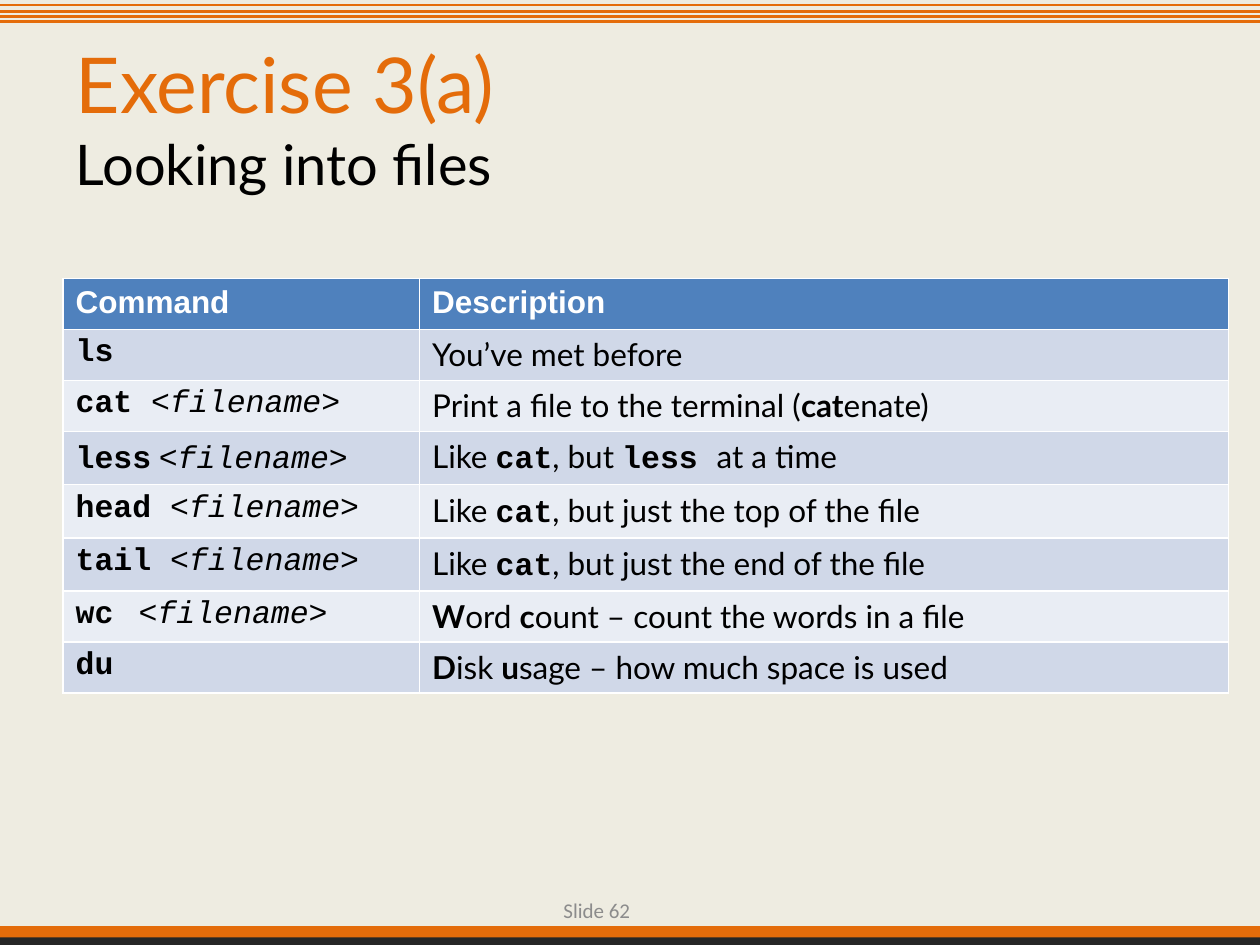
from lxml.etree import SubElement
from pptx import Presentation
from pptx.dml.color import RGBColor
from pptx.enum.shapes import MSO_CONNECTOR, MSO_SHAPE
from pptx.enum.text import MSO_ANCHOR, PP_ALIGN
from pptx.oxml.ns import qn
from pptx.util import Inches, Pt

COLORS = {
    "background": "EEECE1",
    "orange": "E46C0A",
    "charcoal": "262626",
    "black": "000000",
    "white": "FFFFFF",
    "header": "4F81BD",
    "odd_row": "D0D8E8",
    "even_row": "E9EDF4",
    "slide_number": "8C8C8C",
}

FONT_STYLES = {
    "header": ("Arial", True, False),
    "text": ("Lato", False, False),
    "strong": ("Lato", True, False),
    "code": ("Courier New", True, False),
    "argument": ("Courier New", False, True),
}

FILENAME = ("<filename>", "argument")
LIKE_CAT = [("Like ", "text"), ("cat", "code")]

TABLE_ROWS = [
    ([("Command", "header")], [("Description", "header")]),
    ([("ls", "code")], [("You’ve met before", "text")]),
    (
        [("cat ", "code"), FILENAME],
        [("Print a file to the terminal (", "text"), ("cat", "strong"), ("enate)", "text")],
    ),
    (
        [("less", "code"), (" ", "strong"), FILENAME],
        LIKE_CAT + [(", but ", "text"), ("less ", "code"), ("at a time", "text")],
    ),
    ([("head ", "code"), FILENAME], LIKE_CAT + [(", but just the top of the file", "text")]),
    ([("tail ", "code"), FILENAME], LIKE_CAT + [(", but just the end of the file", "text")]),
    (
        [("wc\t", "code"), FILENAME],
        [("W", "strong"), ("ord ", "text"), ("c", "strong"),
         ("ount – count the words in a file", "text")],
    ),
    (
        [("du", "code")],
        [("D", "strong"), ("isk ", "text"), ("u", "strong"),
         ("sage – how much space is used", "text")],
    ),
]


def color(name):
    return RGBColor.from_string(COLORS[name])


def format_run(run, font_name, size, color_name, bold=False, italic=False):
    run.font.name = font_name
    run.font.size = Pt(size)
    run.font.color.rgb = color(color_name)
    run.font.bold = bold
    run.font.italic = italic


def add_bar(slide, top, height, color_name):
    bar = slide.shapes.add_shape(
        MSO_SHAPE.RECTANGLE, 0, Inches(top), Inches(10), Inches(height)
    )
    bar.shadow.inherit = False
    bar.fill.solid()
    bar.fill.fore_color.rgb = color(color_name)
    bar.line.fill.background()


def add_stripe(slide, top):
    stripe = slide.shapes.add_connector(
        MSO_CONNECTOR.STRAIGHT, 0, Inches(top), Inches(10), Inches(top)
    )
    stripe.line.color.rgb = color("orange")
    stripe.line.width = Pt(1.5)
    SubElement(stripe._element.spPr, qn("a:effectLst"))


def set_title(slide, heading, subtitle):
    title = slide.shapes.title
    title.left, title.top = Inches(0.5), Inches(0.3)
    title.width, title.height = Inches(9), Inches(1.25)
    title.text_frame.text = f"{heading}\v{subtitle}"
    title.text_frame.vertical_anchor = MSO_ANCHOR.MIDDLE
    paragraph = title.text_frame.paragraphs[0]
    paragraph.alignment = PP_ALIGN.LEFT
    heading_run, subtitle_run = paragraph.runs
    format_run(heading_run, "Lato", 44, "orange")
    format_run(subtitle_run, "Lato", 32, "black")


def add_tab_stop(paragraph, position):
    tab_list = SubElement(paragraph._p.get_or_add_pPr(), qn("a:tabLst"))
    SubElement(tab_list, qn("a:tab"), pos=str(Inches(position)), algn="l")


def fill_cell(cell, pieces, fill_name, text_color):
    cell.fill.solid()
    cell.fill.fore_color.rgb = color(fill_name)
    paragraph = cell.text_frame.paragraphs[0]
    for text, style in pieces:
        run = paragraph.add_run()
        run.text = text
        font_name, bold, italic = FONT_STYLES[style]
        format_run(run, font_name, 18, text_color, bold, italic)
    if any("\t" in text for text, style in pieces):
        add_tab_stop(paragraph, 0.5)


def add_command_table(slide):
    table = slide.shapes.add_table(
        len(TABLE_ROWS), 2, Inches(0.5), Inches(2.21), Inches(9.25), Inches(3.24)
    ).table
    table.columns[0].width = Inches(2.83)
    table.columns[1].width = Inches(6.42)
    for row_index, row in enumerate(TABLE_ROWS):
        if row_index == 0:
            fill_name, text_color = "header", "white"
        else:
            fill_name = "odd_row" if row_index % 2 else "even_row"
            text_color = "black"
        for column_index, pieces in enumerate(row):
            fill_cell(table.cell(row_index, column_index), pieces, fill_name, text_color)


def add_slide_number(slide, text):
    box = slide.shapes.add_textbox(Inches(4.11), Inches(6.92), Inches(0.99), Inches(0.4))
    text_frame = box.text_frame
    text_frame.word_wrap = True
    text_frame.vertical_anchor = MSO_ANCHOR.BOTTOM
    text_frame.margin_top = text_frame.margin_bottom = 0
    text_frame.text = text
    paragraph = text_frame.paragraphs[0]
    paragraph.alignment = PP_ALIGN.RIGHT
    format_run(paragraph.runs[0], "Calibri", 12, "slide_number")


def main():
    presentation = Presentation()
    presentation.slide_width = Inches(10)
    presentation.slide_height = Inches(7.5)
    slide = presentation.slides.add_slide(presentation.slide_layouts[5])
    slide.background.fill.solid()
    slide.background.fill.fore_color.rgb = color("background")

    add_bar(slide, 7.35, 0.16, "orange")
    for top in (0.04, 0.09, 0.13, 0.17):
        add_stripe(slide, top)
    add_bar(slide, 7.44, 0.06, "charcoal")
    set_title(slide, "Exercise 3(a)", "Looking into files")
    add_command_table(slide)
    add_slide_number(slide, "Slide 62")
    presentation.save("out.pptx")


if __name__ == "__main__":
    main()
